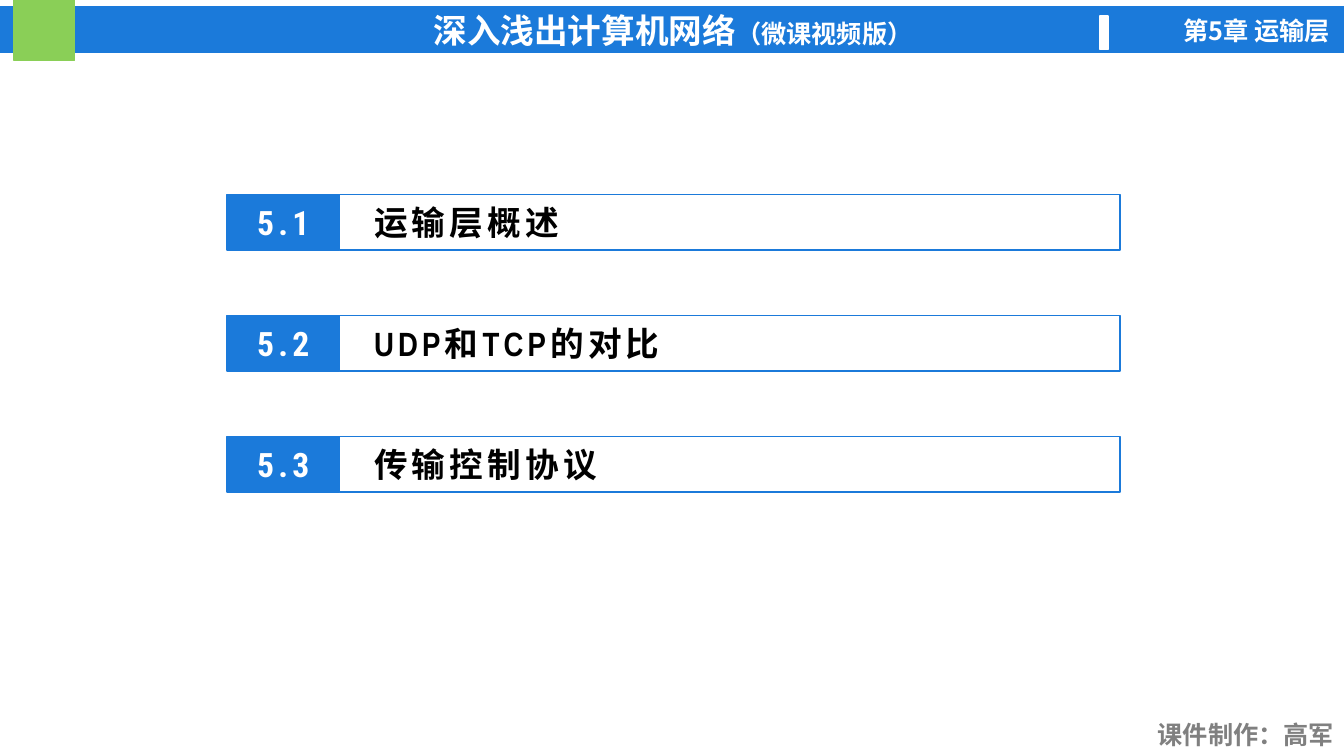
from lxml.etree import SubElement as Sub
from pptx import Presentation as Deck
from pptx.dml.color import RGBColor as RGB
from pptx.enum.shapes import MSO_SHAPE as Shape
from pptx.enum.text import MSO_ANCHOR as Anchor, PP_ALIGN as Align
from pptx.oxml.ns import qn
from pptx.util import Inches, Pt

BLUE = RGB(0x1B, 0x7A, 0xDA)
GREEN = RGB(0x8A, 0xCF, 0x57)
WHITE = RGB(0xFF, 0xFF, 0xFF)
GRAY = RGB(0x80, 0x80, 0x80)
BLACK = RGB(0, 0, 0)
NARROW = "Arial Narrow"
ROBOTO = "Roboto Condensed"
NOTO = "Noto Sans CJK SC"
ITEMS = [
    ("5.1", "运输层概述", ROBOTO),
    ("5.2", "UDP和TCP的对比", NARROW),
    ("5.3", "传输控制协议", ROBOTO),
]


def style(run, size, color, face, space=0):
    """Format a run in bold, with letter spacing in points."""
    font = run.font
    font.size, font.bold, font.name = Pt(size), True, face
    font.color.rgb = color
    props = run._r.get_or_add_rPr()
    if space:
        props.set("spc", str(space * 100))
    Sub(props, qn("a:ea")).set("typeface", NOTO)


def block(slide, x, y, w, h, line, fill=None):
    """Draw a rectangle, hollow when no fill is given."""
    rect = slide.shapes.add_shape(
        Shape.RECTANGLE, Inches(x), Inches(y), Inches(w), Inches(h))
    rect.shadow.inherit = False
    if fill is None:
        rect.fill.background()
    else:
        rect.fill.solid()
        rect.fill.fore_color.rgb = fill
    rect.line.color.rgb = line
    rect.line.width = Pt(1)
    rect.text_frame.vertical_anchor = Anchor.MIDDLE
    return rect


def label(slide, x, y, w, h, text, color, face):
    """Place a right-aligned line of text."""
    frame = slide.shapes.add_textbox(
        Inches(x), Inches(y), Inches(w), Inches(h)).text_frame
    frame.word_wrap = True
    frame.text = text
    para = frame.paragraphs[0]
    para.alignment = Align.RIGHT
    style(para.runs[0], 18, color, face)


def header(slide, x, y, w, h):
    """Draw the title band with its green tab and chapter name."""
    band = block(slide, x, y + 0.07, w, h, BLUE, BLUE)
    para = band.text_frame.paragraphs[0]
    para.alignment = Align.CENTER
    for text, size in (("深入浅出计算机网络", 24), ("（微课视频版）", 18)):
        run = para.add_run()
        run.text = text
        style(run, size, WHITE, NARROW)
    block(slide, x + 0.14, y, 0.6, 0.6, GREEN, GREEN)
    block(slide, x + w - 2.44, y + 0.16, 0.08, 0.33, WHITE, WHITE)
    label(slide, x + w - 2.24, y + 0.1, 2.18, 0.4, "第5章 运输层", WHITE, NOTO)


def entry(slide, x, y, w, h, number, title, face):
    """Draw one contents row: a number tile and a framed title."""
    tile = 1.12
    left = block(slide, x, y, tile, h, BLUE, BLUE)
    right = block(slide, x + tile, y, w - tile, h, BLUE)
    right.text_frame.margin_left = Inches(0.34)
    for rect, text, color, font, align in (
            (left, number, WHITE, ROBOTO, Align.CENTER),
            (right, title, BLACK, face, Align.LEFT)):
        rect.text_frame.text = text
        para = rect.text_frame.paragraphs[0]
        para.alignment = align
        style(para.runs[0], 24, color, font, 3)


def contents(slide, x, y, w, step):
    """Stack the contents rows at an even step."""
    for i, item in enumerate(ITEMS):
        entry(slide, x, y + i * step, w, 0.55, *item)


def main():
    """Build and save the slide."""
    deck = Deck()
    deck.slide_width, deck.slide_height = Inches(13.33), Inches(7.5)
    slide = deck.slides.add_slide(deck.slide_layouts[6])
    header(slide, 0, 0, 13.35, 0.45)
    label(slide, 11.34, 7.09, 1.99, 0.4, "课件制作：高军", GRAY, NARROW)
    contents(slide, 2.25, 1.93, 8.86, 1.2)
    deck.save("out.pptx")


if __name__ == "__main__":
    main()
